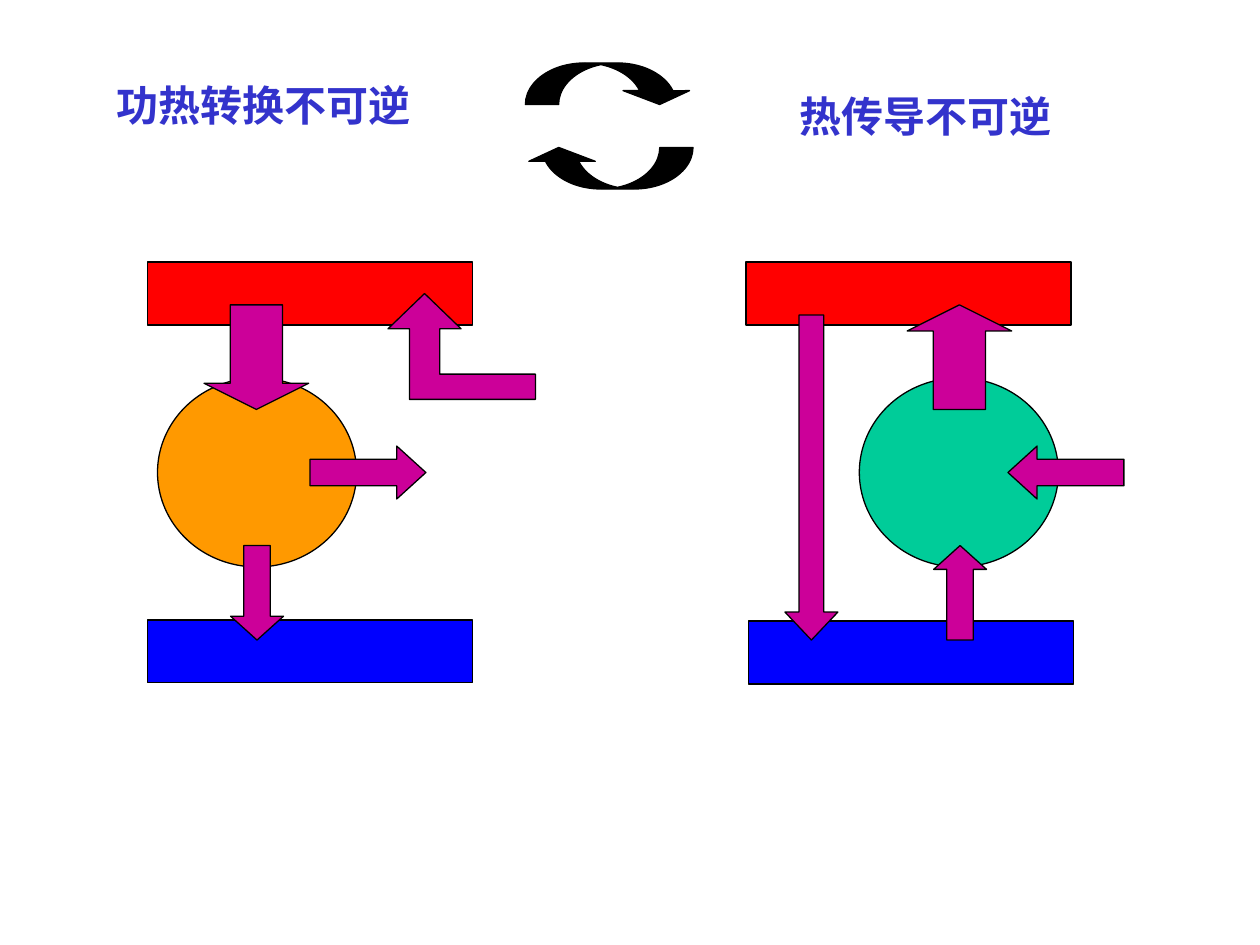
from dataclasses import dataclass

from pptx import Presentation
from pptx import util as u
from pptx.dml.color import RGBColor
from pptx.enum import shapes, text

COLORS = {
    "hot": "FF0000", "cold": "0000FF", "arrow": "CC0099", "engine": "FF9900",
    "pump": "00CC99", "cycle": "000000", "outline": "000000",
    "label": "3333CC", "paper": "FFFFFF",
}
FONT = "Times New Roman"
KIND = shapes.MSO_SHAPE


@dataclass
class Part:
    kind: KIND
    color: str
    left: float
    top: float
    width: float
    height: float
    adj: tuple = ()
    flip: str = ""
    rotation: int = 0


def rgb(name: str) -> RGBColor:
    return RGBColor.from_string(COLORS[name])


def paint(sp, color: str) -> None:
    sp.shadow.inherit = False
    sp.fill.solid()
    sp.fill.fore_color.rgb = rgb(color)
    sp.line.color.rgb = rgb("outline")
    sp.line.width = u.Pt(0.75)


def draw_part(s, part: Part) -> None:
    box = (part.left, part.top, part.width, part.height)
    sp = s.shapes.add_shape(part.kind, *map(u.Inches, box))
    paint(sp, part.color)
    for i, value in enumerate(part.adj):
        sp.adjustments[i] = value
    sp.rotation = part.rotation
    if part.flip:
        sp.element.spPr.get_or_add_xfrm().set(part.flip, "1")


def draw_label(s, words: str, left: float, top: float) -> None:
    sp = s.shapes.add_textbox(*map(u.Inches, (left, top, 2.75, 0.5)))
    sp.fill.solid()
    sp.fill.fore_color.rgb = rgb("paper")
    tf = sp.text_frame
    tf.word_wrap = True
    tf.auto_size = text.MSO_AUTO_SIZE.SHAPE_TO_FIT_TEXT
    r = tf.paragraphs[0].add_run()
    r.text = words
    r.font.name = FONT
    r.font.size = u.Pt(24)
    r.font.bold = True
    r.font.color.rgb = rgb("label")


def draw_outline(s, points: list, color: str) -> None:
    emu = [(u.Inches(x), u.Inches(y)) for x, y in points]
    builder = s.shapes.build_freeform(*emu[0])
    builder.add_line_segments(emu[1:], close=True)
    paint(builder.convert_to_shape(), color)


def reservoir(color: str, left: float, top: float) -> Part:
    return Part(KIND.RECTANGLE, color, left, top, 2.58, 0.5)


def machine(color: str, left: float) -> Part:
    return Part(KIND.OVAL, color, left, 3, 1.58, 1.5)


def hot_flow(left: float, flip: str = "") -> Part:
    return Part(KIND.DOWN_ARROW, "arrow", left, 2.42, 0.83, 0.83, (0.5, 0.25), flip)


def cold_flow(left: float, flip: str = "") -> Part:
    return Part(KIND.DOWN_ARROW, "arrow", left, 4.33, 0.42, 0.75, (0.5, 0.45), flip)


def work_flow(left: float, flip: str = "") -> Part:
    return Part(KIND.RIGHT_ARROW, "arrow", left, 3.54, 0.92, 0.42, (0.5, 0.55), flip)


def cycle_arrow(top: float, rotation: int = 0) -> Part:
    return Part(KIND.CURVED_DOWN_ARROW, "cycle", 4.17, top, 1.33, 0.33,
                (0.8, 1.6, 0.333), rotation=rotation)


# Heat engine on the left, heat pump on the right, back to front
PARTS = [
    machine("engine", 1.25),
    work_flow(2.46),
    cycle_arrow(1.17, rotation=180),
    reservoir("hot", 5.92, 2.08),
    reservoir("cold", 5.94, 4.93),
    machine("pump", 6.82),
    hot_flow(7.2, "flipV"),
    cold_flow(7.41, "flipV"),
    work_flow(8, "flipH"),
    Part(KIND.DOWN_ARROW, "arrow", 6.23, 2.5, 0.42, 2.58, (0.467, 0.529)),
    cycle_arrow(0.5),
    reservoir("hot", 1.17, 2.08),
    hot_flow(1.62),
    reservoir("cold", 1.17, 4.92),
    cold_flow(1.83),
]

# Bent arrow carrying work back into the hot reservoir
BENT_ARROW = [(3.37, 2.33), (3.66, 2.61), (3.49, 2.61), (3.49, 2.97), (4.25, 2.97),
              (4.25, 3.17), (3.25, 3.17), (3.25, 2.61), (3.08, 2.61)]


def main() -> None:
    prs = Presentation()
    prs.slide_width, prs.slide_height = u.Inches(10), u.Inches(7.5)
    s = prs.slides.add_slide(prs.slide_layouts[6])

    # Headings
    draw_label(s, "功热转换不可逆", 0.83, 0.58)
    draw_label(s, "热传导不可逆", 6.25, 0.67)

    # Diagrams
    for part in PARTS:
        draw_part(s, part)
    draw_outline(s, BENT_ARROW, "arrow")

    prs.save("out.pptx")


if __name__ == "__main__":
    main()
